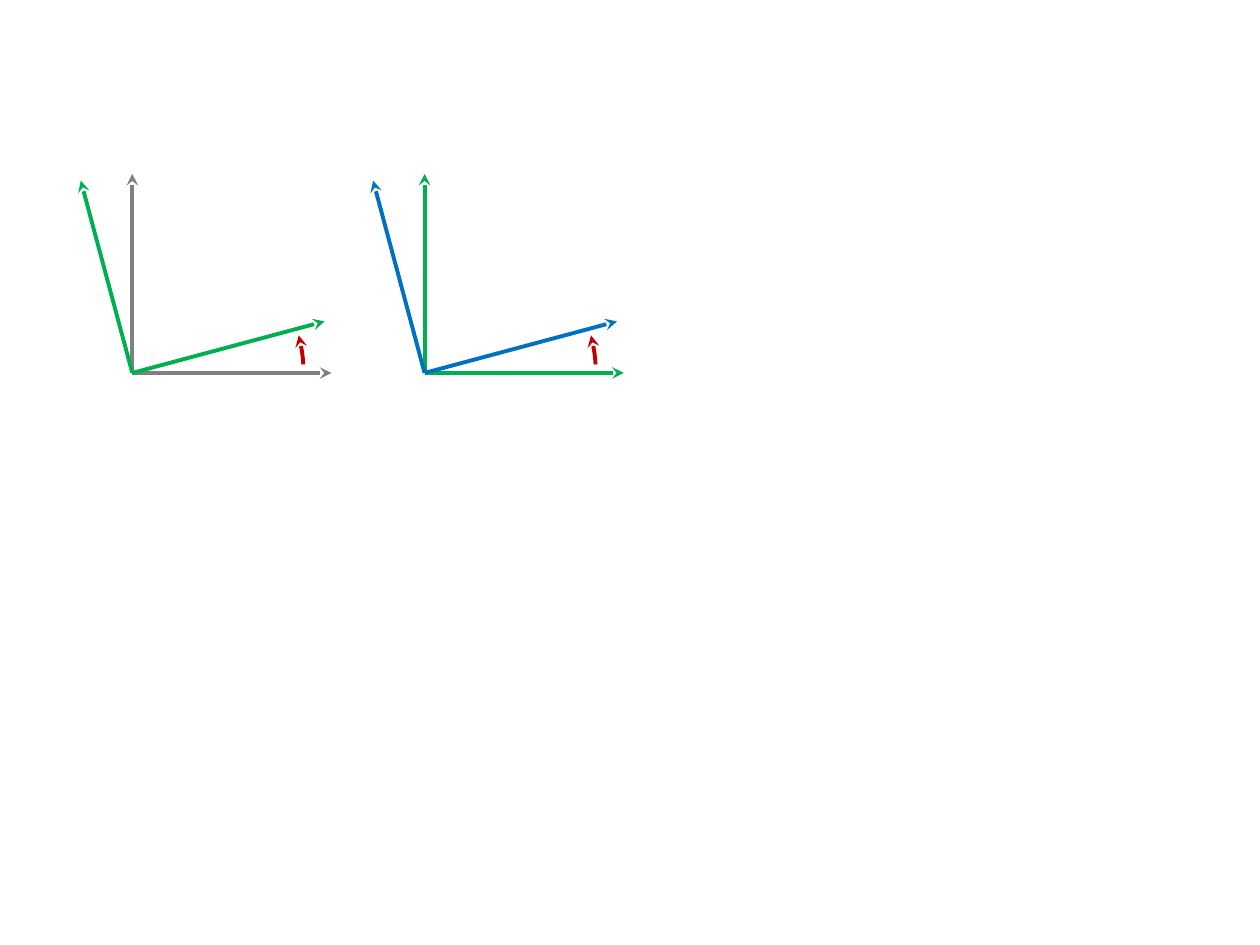
import math

import pptx
import pptx.dml.color
import pptx.enum.shapes
import pptx.oxml
import pptx.oxml.ns
import pptx.util
from pptx.util import Inches

COLORS = {"gray": "808080", "green": "00B050", "blue": "0070C0", "red": "C00000"}
ORIGIN_Y = 2.96
AXIS_LENGTH = 1.58
ROTATION = 15
ARC_WIDTH, ARC_HEIGHT = 2.72, 2.68
ARC_DROP = 0.02
ARC_ANGLES = (346.44, 356.3)
ADJUSTMENT_PER_DEGREE = 0.6


def style_line(shape, color, arrow_end):
    """Color the line and put a stealth arrowhead at headEnd or tailEnd."""
    shape.line.color.rgb = pptx.dml.color.RGBColor.from_string(COLORS[color])
    shape.line.width = pptx.util.Pt(2.25)
    arrow = pptx.oxml.parse_xml(
        f'<a:{arrow_end} {pptx.oxml.ns.nsdecls("a")} type="stealth"/>'
    )
    shape.line._get_or_add_ln().append(arrow)


def add_axis(group, origin_x, degrees, color):
    angle = math.radians(degrees)
    axis = group.shapes.add_connector(
        pptx.enum.shapes.MSO_CONNECTOR.STRAIGHT,
        Inches(origin_x),
        Inches(ORIGIN_Y),
        Inches(origin_x + AXIS_LENGTH * math.cos(angle)),
        Inches(ORIGIN_Y - AXIS_LENGTH * math.sin(angle)),
    )
    style_line(axis, color, "tailEnd")
    axis._element.spPr.append(
        pptx.oxml.parse_xml(f'<a:effectLst {pptx.oxml.ns.nsdecls("a")}/>')
    )


def add_rotation_arc(group, origin_x):
    arc = group.shapes.add_shape(
        pptx.enum.shapes.MSO_SHAPE.ARC,
        Inches(origin_x - ARC_WIDTH / 2),
        Inches(ORIGIN_Y + ARC_DROP - ARC_HEIGHT / 2),
        Inches(ARC_WIDTH),
        Inches(ARC_HEIGHT),
    )
    for index, degrees in enumerate(ARC_ANGLES):
        arc.adjustments[index] = degrees * ADJUSTMENT_PER_DEGREE
    arc.fill.background()
    arc.shadow.inherit = False
    style_line(arc, "red", "headEnd")


def add_rotated_frame(page, origin_x, start_color, end_color):
    """Draw a pair of axes, the same pair rotated, and the arc between them."""
    group = page.shapes.add_group_shape()
    for rotation, color in ((0, start_color), (ROTATION, end_color)):
        for axis_angle in (0, 90):
            add_axis(group, origin_x, axis_angle + rotation, color)
    add_rotation_arc(group, origin_x)


def main():
    deck = pptx.Presentation()
    deck.slide_width, deck.slide_height = Inches(10), Inches(7.5)
    page = deck.slides.add_slide(deck.slide_layouts.get_by_name("Blank"))
    add_rotated_frame(page, 1.05, "gray", "green")
    add_rotated_frame(page, 3.37, "green", "blue")
    deck.save("out.pptx")


if __name__ == "__main__":
    main()
